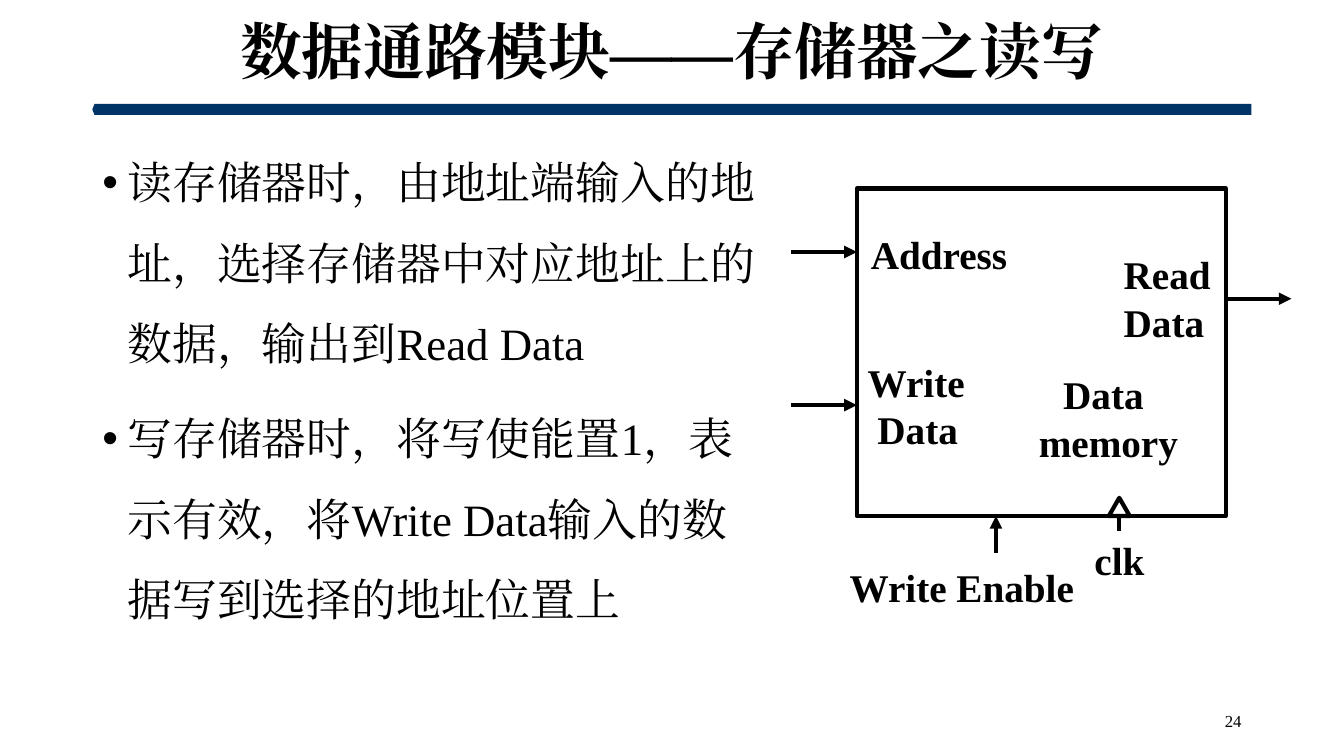
from pptx import Presentation
from pptx.dml.color import RGBColor
from pptx.enum.lang import MSO_LANGUAGE_ID
from pptx.enum.shapes import MSO_CONNECTOR, MSO_SHAPE
from pptx.enum.text import MSO_ANCHOR, PP_ALIGN
from pptx.oxml.ns import qn
from pptx.util import Pt
from lxml import etree

BLACK = RGBColor(0, 0, 0)
NAVY = RGBColor(0x00, 0x33, 0x66)
FONT = "Times New Roman"
CHINESE = MSO_LANGUAGE_ID.SIMPLIFIED_CHINESE
LEFT, CENTER, RIGHT = PP_ALIGN.LEFT, PP_ALIGN.CENTER, PP_ALIGN.RIGHT
TOP, MIDDLE = MSO_ANCHOR.TOP, MSO_ANCHOR.MIDDLE
STRAIGHT = MSO_CONNECTOR.STRAIGHT
RECTANGLE, TRIANGLE = MSO_SHAPE.RECTANGLE, MSO_SHAPE.ISOSCELES_TRIANGLE
PENTAGON = MSO_SHAPE.PENTAGON
LINE_WIDTH = 3

TITLE_FORMAT = {"size": Pt(44), "bold": True, "language_id": CHINESE}
BODY_FORMAT = {"size": Pt(32), "language_id": CHINESE}
LABEL_FORMAT = {"size": Pt(28), "bold": True}
NUMBER_FORMAT = {"size": Pt(12)}

POINTS = [
    "读存储器时，由地址端输入的地址，选择存储器中对应地址上的数据，输出到Read Data",
    "写存储器时，将写使能置1，表示有效，将Write Data输入的数据写到选择的地址位置上",
]
PORT_LABELS = [
    (["Address"], (3, 26.6, 191.5, 41), LEFT),
    (["Write", " Data"], (0.7, 118, 85, 75), LEFT),
    (["Read Data"], (183.6, 41, 79.2, 75), LEFT),
    (["clk"], (162.7, 244.8, 93.6, 41), LEFT),
    (["Write Enable"], (-12.2, 264.2, 188, 41), LEFT),
    (["Data ", "memory"], (113.8, 126.7, 131.8, 75), CENTER),
]


def add_text(slide, box, lines, font_format, paragraph_format, anchor=TOP):
    shape = slide.shapes.add_textbox(*map(Pt, box))
    frame = shape.text_frame
    frame.word_wrap = True
    frame.vertical_anchor = anchor
    for index, line in enumerate(lines):
        paragraph = frame.add_paragraph() if index else frame.paragraphs[0]
        for name, value in paragraph_format.items():
            setattr(paragraph, name, value)
        run = paragraph.add_run()
        run.text = line
        run.font.color.rgb = BLACK
        for name, value in {"name": FONT, **font_format}.items():
            setattr(run.font, name, value)
        east_asian = etree.SubElement(run.font._element, qn("a:ea"))
        east_asian.set("typeface", FONT)
    return frame


def add_outline(slide, kind, box):
    shape = slide.shapes.add_shape(kind, *map(Pt, box))
    shape.shadow.inherit = False
    shape.fill.background()
    shape.line.color.rgb = BLACK
    shape.line.width = Pt(LINE_WIDTH)


def add_wire(slide, start, end, arrow=True):
    wire = slide.shapes.add_connector(STRAIGHT, *map(Pt, start + end))
    wire.line.color.rgb = BLACK
    wire.line.width = Pt(LINE_WIDTH)
    if arrow:
        head = etree.SubElement(wire.line._get_or_add_ln(), qn("a:tailEnd"))
        head.set("type", "triangle")
    etree.SubElement(wire._element.spPr, qn("a:effectLst"))


def add_title(slide, box):
    left, top, width, height = box
    bar = slide.shapes.add_shape(
        PENTAGON, Pt(left), Pt(top + height + 5.8), Pt(width), Pt(7.9))
    bar.adjustments[0] = 0.2
    bar._element.spPr.find(qn("a:xfrm")).set("flipH", "1")
    bar.shadow.inherit = False
    bar.fill.solid()
    bar.fill.fore_color.rgb = NAVY
    bar.line.fill.background()
    add_text(slide, box, ["数据通路模块——存储器之读写"], TITLE_FORMAT,
             {"alignment": CENTER, "line_spacing": 0.9}, MIDDLE)


def add_body(slide, box):
    frame = add_text(slide, box, POINTS, BODY_FORMAT,
                     {"line_spacing": 1.5, "space_before": Pt(10)})
    for paragraph in frame.paragraphs:
        properties = paragraph._p.get_or_add_pPr()
        properties.set("marL", str(Pt(18)))
        properties.set("indent", str(Pt(-18)))
        font = etree.SubElement(properties, qn("a:buFont"))
        font.set("typeface", "Arial")
        etree.SubElement(properties, qn("a:buChar")).set("char", "•")


def add_memory(slide, box):
    left, top, width, height = box
    right, bottom = left + width, top + height
    wire_length = 47
    add_outline(slide, RECTANGLE, box)
    for lines, (x, y, label_width, label_height), alignment in PORT_LABELS:
        add_text(slide, (left + x, top + y, label_width, label_height),
                 lines, LABEL_FORMAT, {"alignment": alignment})

    clock_x, clock_width, clock_height = left + 187.5, 15, 13
    add_outline(slide, TRIANGLE, (clock_x - clock_width / 2,
                                  bottom - clock_height,
                                  clock_width, clock_height))
    add_wire(slide, (clock_x, bottom), (clock_x, bottom + 10.8), arrow=False)

    enable_x = left + 99.4
    add_wire(slide, (enable_x, bottom + 26.6), (enable_x, bottom))
    for input_y in (top + 45.4, top + 154.8):
        add_wire(slide, (left - wire_length, input_y), (left, input_y))
    read_y = top + 78.8
    add_wire(slide, (right, read_y), (right + wire_length, read_y))


def main():
    presentation = Presentation()
    presentation.slide_width = Pt(960)
    presentation.slide_height = Pt(540)
    slide = presentation.slides.add_slide(presentation.slide_layouts[6])
    add_title(slide, (66, 9.4, 828, 59))
    add_body(slide, (66, 87.8, 485.3, 398))
    add_memory(slide, (612, 134.6, 263.5, 234))
    add_text(slide, (678, 500.5, 216, 28.8), ["24"], NUMBER_FORMAT,
             {"alignment": RIGHT}, MIDDLE)
    presentation.save("out.pptx")


if __name__ == "__main__":
    main()
